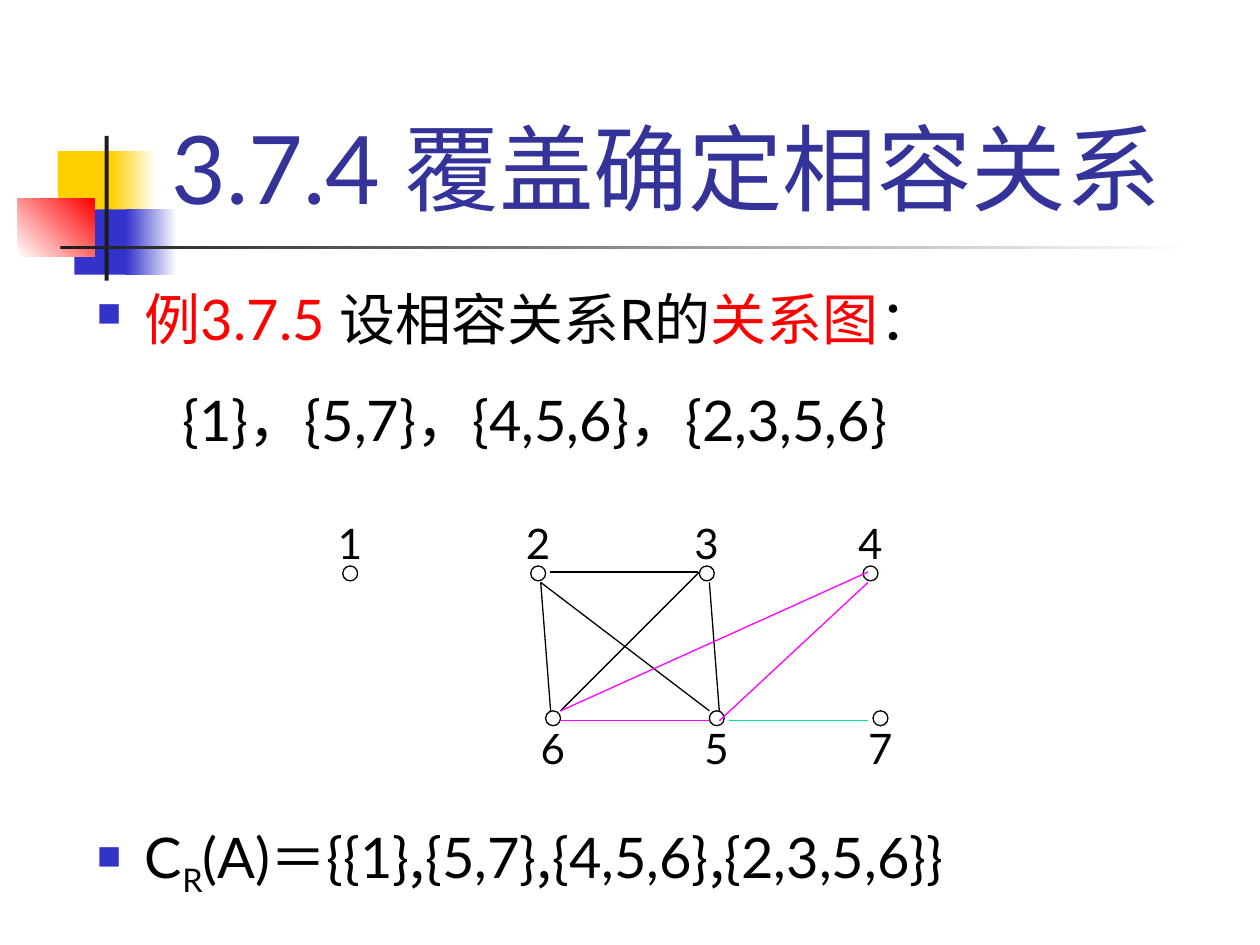
import pptx
import pptx.util
import pptx.dml.color
import pptx.enum.shapes
import pptx.enum.text
import pptx.oxml
import pptx.oxml.ns

Cm, Pt = pptx.util.Cm, pptx.util.Pt
RGB = pptx.dml.color.RGBColor
SHAPE = pptx.enum.shapes.MSO_SHAPE
TEXT = pptx.enum.text
qn = pptx.oxml.ns.qn

BLACK, WHITE = RGB(0, 0, 0), RGB(255, 255, 255)
GOLD, BLUE, RED = RGB(0xFF, 0xCF, 0x01), RGB(0x33, 0x33, 0xCC), RGB(255, 0, 0)
DARK, NAVY = RGB(0x1C, 0x1C, 0x1C), RGB(0x33, 0x33, 0x99)
PINK, GREEN = RGB(255, 0, 255), RGB(0, 0xE4, 0xA8)
LATIN, HAN = "Lato", "Noto Sans CJK SC"


def write(para, text, size=32, color=BLACK, face=LATIN, base=0):
    """Add one formatted run to a paragraph."""
    run = para.add_run()
    run.text = text
    run.font.size = Pt(size)
    run.font.name = face
    run.font.color.rgb = color
    props = run._r.get_or_add_rPr()
    if base:
        props.set("baseline", str(base * 1000))
    props.find(qn("a:latin")).addnext(
        props.makeelement(qn("a:ea"), {"typeface": HAN}))


def indent(para, left, mark=False):
    """Set the left indent in cm, with a square bullet if marked."""
    props = para._p.get_or_add_pPr()
    props.set("marL", str(Cm(left)))
    if not mark:
        return
    props.set("indent", str(-Cm(left)))
    for tag, value in (("buSzPct", "60000"), ("buChar", "■")):
        attr = "char" if tag == "buChar" else "val"
        props.append(props.makeelement(qn("a:" + tag), {attr: value}))
    tint = props.makeelement(qn("a:buClr"), {})
    tint.append(tint.makeelement(qn("a:srgbClr"), {"val": str(BLUE)}))
    props.insert(0, tint)


def add_motif(slide, left, top):
    """Coloured blocks and the crossing bars."""
    parts = [  # x, y, width, height, colours, angle
        (0.81, 0.31, 1.22, 1.32, [GOLD], 0),
        (1.88, 0.31, 0.91, 1.32, [GOLD, WHITE], 0),
        (1.14, 1.48, 1.17, 1.32, [BLUE], 0),
        (2.18, 1.48, 1.02, 1.32, [BLUE, WHITE], 0),
        (0, 1.27, 1.55, 1.17, [WHITE, RED], 45),
        (1.75, 0, 0.08, 2.92, [DARK], 0),
        (0.86, 2.21, 22.86, 0.08, [DARK, WHITE], 0),
    ]
    for x, y, width, height, colors, angle in parts:
        block = slide.shapes.add_shape(
            SHAPE.RECTANGLE, Cm(left + x), Cm(top + y), Cm(width), Cm(height))
        block.shadow.inherit = False
        block.line.fill.background()
        if len(colors) == 1:
            block.fill.solid()
            block.fill.fore_color.rgb = colors[0]
        else:
            block.fill.gradient()
            block.fill.gradient_angle = angle
            for stop, color in zip(block.fill.gradient_stops, colors):
                stop.color.rgb = color


def add_title(slide, left, top, width, height):
    title = slide.shapes.title
    title.left, title.top = Cm(left), Cm(top)
    title.width, title.height = Cm(width), Cm(height)
    frame = title.text_frame
    frame.auto_size = TEXT.MSO_AUTO_SIZE.NONE
    frame.vertical_anchor = TEXT.MSO_ANCHOR.BOTTOM
    para = frame.paragraphs[0]
    para.alignment = TEXT.PP_ALIGN.LEFT
    write(para, "3.7.4 覆盖确定相容关系", size=54, color=NAVY)


def add_body(slide, left, top, width, height):
    """Example, its blocks, and the cover below the graph."""
    box = slide.shapes.add_textbox(Cm(left), Cm(top), Cm(width), Cm(height))
    frame = box.text_frame
    frame.word_wrap = True
    lines = [  # indent, bullet, space before, runs
        (0.97, True, 0, [
            ("例3.7.5 ", {"color": RED}), ("设相容关系R的", {}),
            ("关系图", {"color": RED}), ("：", {})]),
        (1.73, False, 19.4, [("{1}，{5,7}，{4,5,6}，{2,3,5,6}", {})]),
        (0.97, True, 211.4, [
            ("C", {}), ("R", {"base": -25}), ("(A)＝{{1}", {}),
            (",", {"face": HAN}), ("{5,7}", {}),
            (",", {"face": HAN}), ("{4,5,6}", {}),
            (",", {"face": HAN}), ("{2,3,5,6}}", {})]),
    ]
    for i, (inset, mark, gap, runs) in enumerate(lines):
        para = frame.add_paragraph() if i else frame.paragraphs[0]
        indent(para, inset, mark)
        para.space_before = Pt(gap)
        for text, form in runs:
            write(para, text, **form)


def add_graph(slide, left, top):
    """Relation graph: nodes, labels and edges."""
    high, low, size = 1.26, 4.18, 0.3
    nodes = {1: (0.56, high), 2: (4.35, high), 3: (7.75, high),
             4: (11.05, high), 6: (4.65, low), 5: (7.95, low), 7: (11.25, low)}
    for name, (x, y) in nodes.items():
        ring = slide.shapes.add_shape(
            SHAPE.OVAL, Cm(left + x - size / 2), Cm(top + y - size / 2),
            Cm(size), Cm(size))
        ring.shadow.inherit = False
        ring.fill.background()
        ring.line.color.rgb = BLACK
        ring.line.width = Pt(0.75)

        drop = 0 if y == high else 4.15
        label = slide.shapes.add_textbox(
            Cm(left + x - 0.5), Cm(top + drop), Cm(1), Cm(1.27))
        label.text_frame.word_wrap = False
        write(label.text_frame.paragraphs[0], str(name), size=24)

    edges = [  # node and offset at each end, colour
        (2, (0.23, -0.03), 3, (-0.18, -0.03), BLACK),
        (2, (0.05, 0.18), 6, (-0.05, -0.15), BLACK),
        (3, (0.05, 0.18), 5, (0.05, -0.15), BLACK),
        (6, (0.15, 0.05), 5, (-0.15, 0.05), PINK),
        (3, (-0.15, -0.03), 6, (0.15, -0.15), BLACK),
        (2, (0.05, 0.18), 5, (-0.15, -0.15), BLACK),
        (4, (-0.05, 0.18), 5, (0.05, 0.05), PINK),
        (4, (-0.05, -0.03), 6, (0.15, -0.15), PINK),
        (5, (0.25, 0.05), 7, (-0.25, 0.05), GREEN),
    ]
    for head, shift, tail, slip, color in edges:
        ends = [Cm(base + spot + move)
                for node, off in ((head, shift), (tail, slip))
                for base, spot, move in zip((left, top), nodes[node], off)]
        edge = slide.shapes.add_connector(
            pptx.enum.shapes.MSO_CONNECTOR.STRAIGHT, *ends)
        edge.line.color.rgb = color
        edge.line.width = Pt(0.75)
        props = edge._element.spPr
        props.append(props.makeelement(qn("a:effectLst"), {}))


def main():
    deck = pptx.Presentation()
    deck.slide_width, deck.slide_height = Cm(25.4), Cm(19.05)
    slide = deck.slides.add_slide(deck.slide_layouts[5])
    add_motif(slide, 0.36, 2.74)
    add_title(slide, 3.2, 0.58, 21.64, 4.06)
    add_body(slide, 1.7, 5.61, 23.16, 13.44)
    add_graph(slide, 6.5, 10.3)
    deck.save("out.pptx")


if __name__ == "__main__":
    main()
